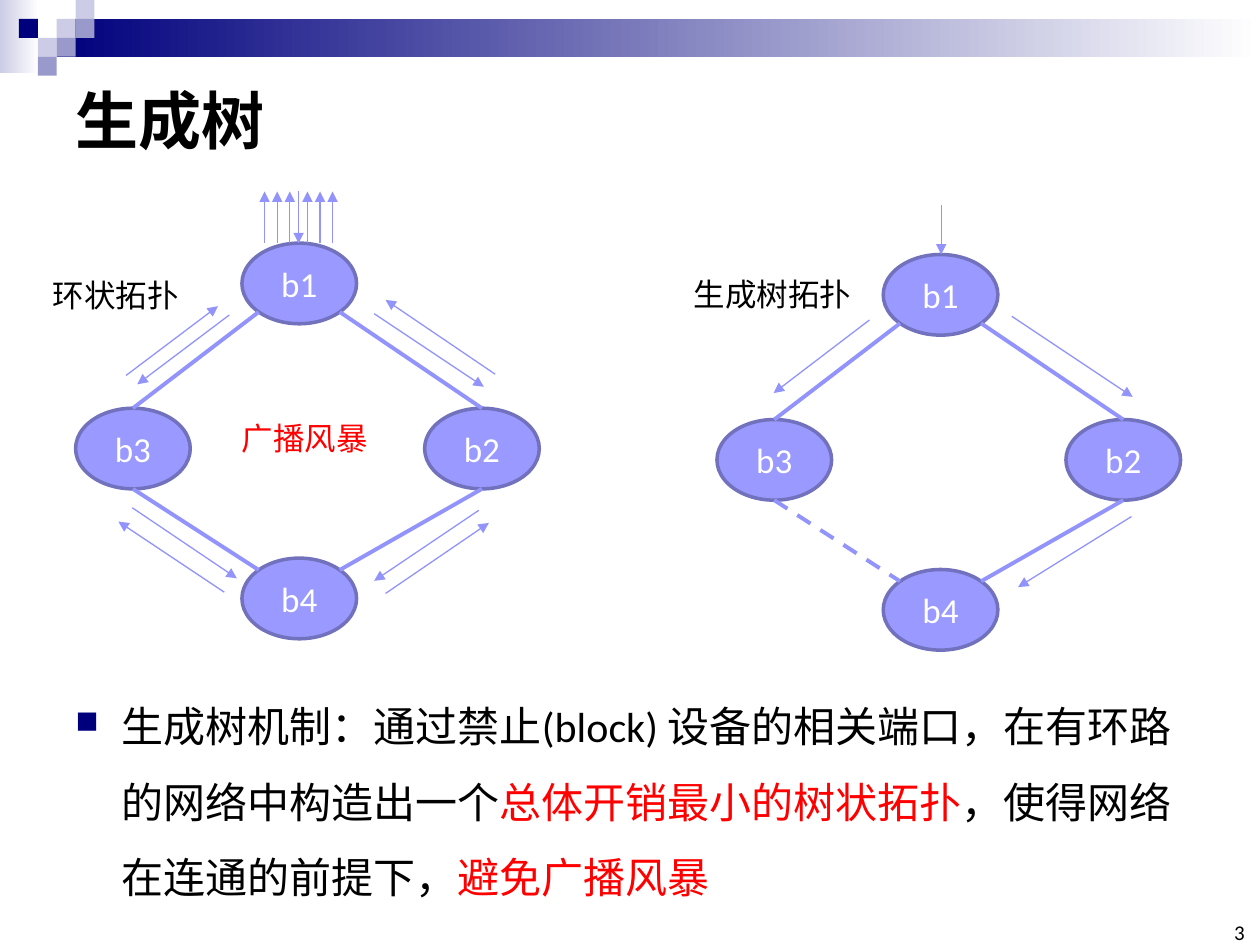
from dataclasses import dataclass
from math import sqrt

from lxml.etree import SubElement
from pptx import Presentation
from pptx.dml.color import RGBColor
from pptx.enum.dml import MSO_LINE
from pptx.enum.shapes import MSO_CONNECTOR, MSO_SHAPE
from pptx.enum.text import MSO_ANCHOR, PP_ALIGN
from pptx.oxml.ns import qn
from pptx.util import Inches, Pt


@dataclass(frozen=True)
class Theme:
    font: str = "Calibri"
    black: str = "000000"
    white: str = "FFFFFF"
    red: str = "FF0000"
    navy: str = "00007D"
    pale: str = "CCCCE6"
    muted: str = "9999CC"
    node_fill: str = "9999FF"
    node_line: str = "7171BD"
    link: str = "9393FC"
    title_size: int = 36
    body_size: int = 24
    node_size: int = 20
    label_size: int = 18
    number_size: int = 12
    node_border: float = 2
    link_width: float = 2.25
    arrow_width: float = 0.75


THEME = Theme()
NODE_WIDTH, NODE_HEIGHT = 0.91, 0.64
# Node positions relative to the topology box
NODES = {"b1": (1.32, 0), "b3": (0, 1.31), "b2": (2.77, 1.31), "b4": (1.32, 2.5)}
DIAGONAL = sqrt(0.5)
# Each link: node, side (x, y from its centre), node, side
LINKS = [
    ("b1", (-DIAGONAL, DIAGONAL), "b3", (0, -1)),
    ("b1", (DIAGONAL, DIAGONAL), "b2", (0, -1)),
    ("b3", (0, 1), "b4", (-DIAGONAL, -DIAGONAL)),
    ("b2", (0, 1), "b4", (DIAGONAL, -DIAGONAL)),
]


def rgb(color):
    return RGBColor.from_string(color)


def write_runs(paragraph, runs, size, bold=False):
    for text, color in runs:
        run = paragraph.add_run()
        run.text = text
        run.font.name = THEME.font
        run.font.size = Pt(size)
        run.font.bold = bold
        run.font.color.rgb = rgb(color)


def add_text(slide, box, runs, size, bold=False, wrap=True, anchor=MSO_ANCHOR.TOP):
    text_box = slide.shapes.add_textbox(*map(Inches, box))
    frame = text_box.text_frame
    frame.word_wrap = wrap
    frame.vertical_anchor = anchor
    write_runs(frame.paragraphs[0], runs, size, bold)
    return frame


def add_block(slide, box, colors):
    """A plain rectangle; two colours make a left-to-right gradient."""
    block = slide.shapes.add_shape(MSO_SHAPE.RECTANGLE, *map(Inches, box))
    block.shadow.inherit = False
    block.line.fill.background()
    if len(colors) == 1:
        block.fill.solid()
        block.fill.fore_color.rgb = rgb(colors[0])
        return
    block.fill.gradient()
    block.fill.gradient_angle = 0
    for position, (stop, color) in enumerate(zip(block.fill.gradient_stops, colors)):
        stop.position = position
        stop.color.rgb = rgb(color)


def add_line(slide, start, end, width, arrow=False, dashed=False):
    line = slide.shapes.add_connector(MSO_CONNECTOR.STRAIGHT, *map(Inches, (*start, *end)))
    line.line.color.rgb = rgb(THEME.link)
    line.line.width = Pt(width)
    if dashed:
        line.line.dash_style = MSO_LINE.DASH
    if arrow:
        SubElement(line.line._get_or_add_ln(), qn("a:tailEnd"), type="triangle")
    SubElement(line._element.spPr, qn("a:effectLst"))


def add_header(slide, box):
    left, top, width = box
    add_block(slide, (left, top, 0.31, 0.58), (THEME.pale, THEME.white))
    add_block(slide, (left + 0.45, top + 0.15, width - 0.45, 0.3), (THEME.navy, THEME.white))
    # Mosaic squares by column and row
    cell = 0.15
    squares = [(3, 1, THEME.pale), (4, 0, THEME.pale), (4, 1, THEME.muted), (2, 2, THEME.pale),
               (1, 1, THEME.navy), (3, 2, THEME.muted), (2, 3, THEME.muted)]
    for column, row, color in squares:
        add_block(slide, (left + column * cell, top + row * cell, cell, cell), (color,))


def add_node(slide, box, name):
    node = slide.shapes.add_shape(MSO_SHAPE.OVAL, *map(Inches, box))
    node.shadow.inherit = False
    node.fill.solid()
    node.fill.fore_color.rgb = rgb(THEME.node_fill)
    node.line.color.rgb = rgb(THEME.node_line)
    node.line.width = Pt(THEME.node_border)
    node.text_frame.vertical_anchor = MSO_ANCHOR.MIDDLE
    paragraph = node.text_frame.paragraphs[0]
    paragraph.alignment = PP_ALIGN.CENTER
    write_runs(paragraph, [(name, THEME.white)], THEME.node_size)


def add_topology(slide, origin, label, label_box, arrows, blocked=()):
    """Four linked bridges; label and arrows are placed relative to the origin."""
    left, top = origin

    def edge_point(name, side):
        x, y = NODES[name]
        return (left + x + NODE_WIDTH / 2 * (1 + side[0]),
                top + y + NODE_HEIGHT / 2 * (1 + side[1]))

    for name, (x, y) in NODES.items():
        add_node(slide, (left + x, top + y, NODE_WIDTH, NODE_HEIGHT), name)
    for first, first_side, second, second_side in LINKS:
        add_line(slide, edge_point(first, first_side), edge_point(second, second_side),
                 THEME.link_width, dashed=(first, second) in blocked)
    x, y, width, height = label_box
    add_text(slide, (left + x, top + y, width, height), [(label, THEME.black)],
             THEME.label_size, wrap=False)
    for x1, y1, x2, y2 in arrows:
        add_line(slide, (left + x1, top + y1), (left + x2, top + y2),
                 THEME.arrow_width, arrow=True)


def add_ring(slide, origin):
    left, top = origin
    flows = [(0.4, 1.05, 1.13, 0.5), (1.22, 0.57, 0.49, 1.12),
             (2.37, 0.56, 3.24, 1.14), (3.33, 1.04, 2.46, 0.45),
             (0.45, 2.1, 1.28, 2.66), (1.18, 2.77, 0.34, 2.21),
             (3.2, 2.12, 2.37, 2.68), (2.46, 2.78, 3.28, 2.22)]
    incoming = [(1.77, -0.41, 1.77, 0)]
    # Frames flooding back out on both sides of the incoming one
    flood = [(center + step * 0.1, 0, center + step * 0.1, -0.41)
             for center in (1.6, 1.94) for step in (-1, 0, 1)]
    add_topology(slide, origin, "环状拓扑", (-0.28, 0.21, 1.21, 0.4), flows + incoming + flood)
    add_text(slide, (left + 1.22, top + 1.35, 1.21, 0.4), [("广播风暴", THEME.red)],
             THEME.label_size, wrap=False)


def add_tree(slide, origin):
    flows = [(1.78, -0.39, 1.78, 0), (1.21, 0.52, 0.45, 1.1),
             (2.34, 0.49, 3.3, 1.13), (3.29, 2.08, 2.39, 2.64)]
    add_topology(slide, origin, "生成树拓扑", (-0.28, 0.11, 1.46, 0.4), flows,
                 blocked=[("b3", "b4")])


def add_explanation(slide, box):
    frame = add_text(slide, box, [], THEME.body_size)
    paragraph = frame.paragraphs[0]
    paragraph.line_spacing = 1.5
    properties = paragraph._p.get_or_add_pPr()
    properties.set("marL", str(Inches(0.37)))
    properties.set("indent", str(-Inches(0.37)))
    bullet_color = SubElement(properties, qn("a:buClr"))
    SubElement(bullet_color, qn("a:srgbClr"), val=THEME.navy)
    SubElement(properties, qn("a:buSzPct"), val="75000")
    SubElement(properties, qn("a:buChar"), char="■")
    write_runs(paragraph, [
        ("生成树机制：通过禁止(block) 设备的相关端口，在有环路的网络中构造出一个", THEME.black),
        ("总体开销最小的树状拓扑", THEME.red),
        ("，使得网络在连通的前提下，", THEME.black),
        ("避免广播风暴", THEME.red),
    ], THEME.body_size)


def add_slide_number(slide, box):
    frame = add_text(slide, box, [("3", THEME.black)], THEME.number_size, anchor=MSO_ANCHOR.BOTTOM)
    frame.margin_left = frame.margin_right = frame.margin_top = frame.margin_bottom = 0
    frame.paragraphs[0].alignment = PP_ALIGN.RIGHT


def main():
    presentation = Presentation()
    presentation.slide_width, presentation.slide_height = Inches(10), Inches(7.5)
    slide = presentation.slides.add_slide(presentation.slide_layouts[6])
    add_header(slide, (0, 0, 10))
    add_text(slide, (0.5, 0.5, 9, 0.89), [("生成树", THEME.black)], THEME.title_size,
             bold=True, anchor=MSO_ANCHOR.MIDDLE)
    add_ring(slide, (0.6, 1.93))
    add_tree(slide, (5.69, 2.02))
    add_explanation(slide, (0.5, 5.31, 9, 1.78))
    add_slide_number(slide, (9.65, 7.33, 0.23, 0.17))
    presentation.save("out.pptx")


if __name__ == "__main__":
    main()
